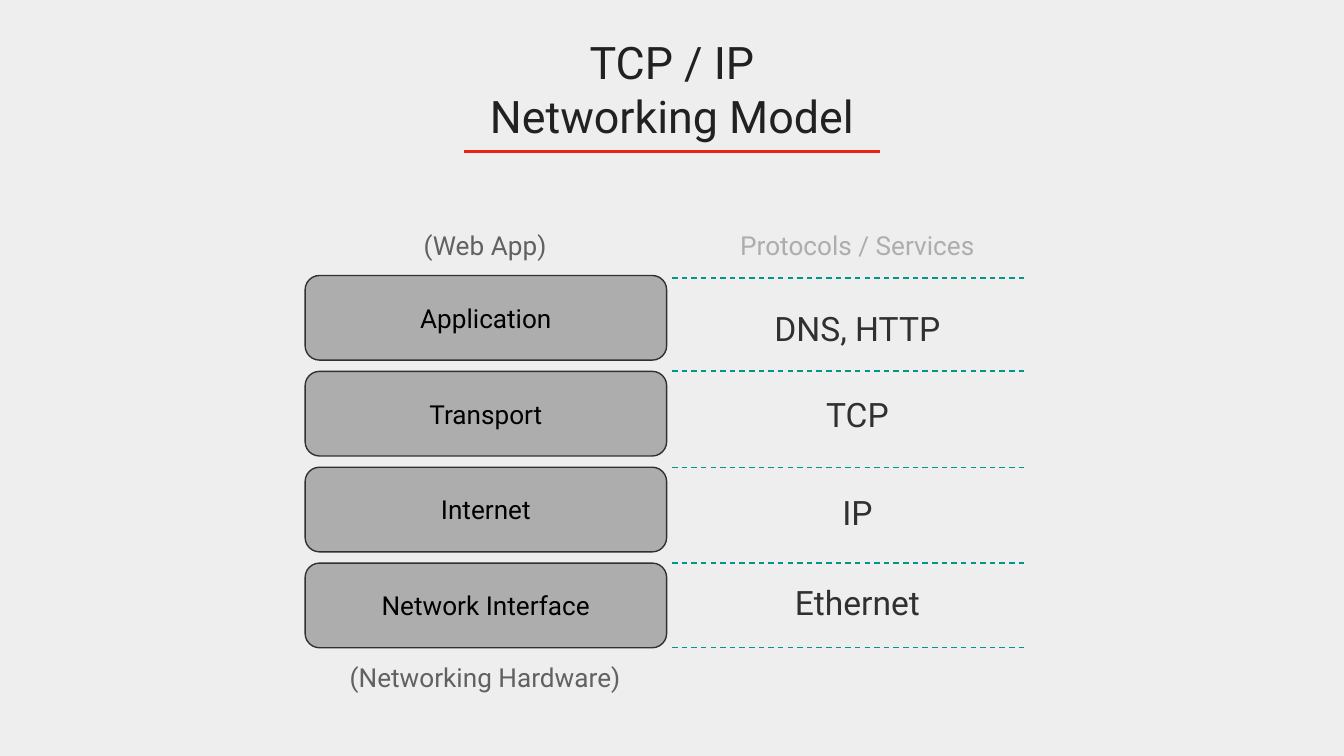
from dataclasses import dataclass

import pptx
import pptx.dml.color
import pptx.enum.dml
import pptx.enum.shapes
import pptx.enum.text
import pptx.oxml
import pptx.oxml.ns
import pptx.util
from pptx.util import Inches

FONT = "Roboto"
COLORS = {
    "background": "EEEEEE",
    "title": "212121",
    "underline": "EE2214",
    "layer": "ADADAD",
    "outline": "303030",
    "layer_text": "000000",
    "note": "616161",
    "heading": "ADADAD",
    "protocol": "303030",
    "divider": "009688",
}
SLIDE_WIDTH = 10
SLIDE_HEIGHT = SLIDE_WIDTH * 9 / 16
LAYER_LEFT, LAYER_TOP, LAST_LAYER_TOP = 2.27, 2.05, 4.19
LAYER_WIDTH, LAYER_HEIGHT = 2.69, 0.63
LABEL_WIDTH, LABEL_HEIGHT = 2.76, 0.39
NOTE_LEFT, PROTOCOL_LEFT, DIVIDER_RIGHT = 2.23, 5, 7.62
HEADING_TOP, HARDWARE_TOP = 1.61, 4.82


@dataclass(frozen=True)
class Layer:
    name: str
    protocol: str
    protocol_top: float


@dataclass(frozen=True)
class Label:
    text: str
    left: float
    top: float
    size: int
    color: str
    width: float = LABEL_WIDTH
    height: float = LABEL_HEIGHT


LAYERS = [
    Layer("Application", "DNS, HTTP", 2.19),
    Layer("Transport", "TCP", 2.83),
    Layer("Internet", "IP", 3.56),
    Layer("Network Interface", "Ethernet", 4.23),
]
LAYER_PITCH = (LAST_LAYER_TOP - LAYER_TOP) / (len(LAYERS) - 1)
LABELS = [
    Label("TCP / IP\nNetworking Model", 3.2, 0.16, 24, "title", 3.6, 0.63),
    Label("(Web App)", NOTE_LEFT, HEADING_TOP, 14, "note"),
    Label("(Networking Hardware)", NOTE_LEFT, HARDWARE_TOP, 14, "note"),
    Label("Protocols / Services", PROTOCOL_LEFT, HEADING_TOP, 14, "heading"),
]
DIVIDER_TOPS = [2.07, 2.76, 3.48, 4.19, 4.82]


def rgb(color: str) -> pptx.dml.color.RGBColor:
    return pptx.dml.color.RGBColor.from_string(COLORS[color])


def write_text(shape, text: str, size: int, color: str, anchor) -> None:
    frame = shape.text_frame
    frame.word_wrap = True
    frame.vertical_anchor = anchor
    frame.margin_left = frame.margin_right = Inches(0.1)
    frame.margin_top = frame.margin_bottom = Inches(0.1)
    frame.text = text
    for paragraph in frame.paragraphs:
        paragraph.alignment = pptx.enum.text.PP_ALIGN.CENTER
        paragraph.font.name = FONT
        paragraph.font.size = pptx.util.Pt(size)
        paragraph.font.color.rgb = rgb(color)


def add_label(slide, label: Label) -> None:
    shape = slide.shapes.add_textbox(
        Inches(label.left), Inches(label.top), Inches(label.width), Inches(label.height)
    )
    write_text(shape, label.text, label.size, label.color, pptx.enum.text.MSO_ANCHOR.TOP)


def add_layer(slide, name: str, top: float) -> None:
    shape = slide.shapes.add_shape(
        pptx.enum.shapes.MSO_SHAPE.ROUNDED_RECTANGLE,
        Inches(LAYER_LEFT), Inches(top), Inches(LAYER_WIDTH), Inches(LAYER_HEIGHT),
    )
    shape.shadow.inherit = False
    shape.adjustments[0] = 0.17
    shape.fill.solid()
    shape.fill.fore_color.rgb = rgb("layer")
    shape.line.color.rgb = rgb("outline")
    shape.line.width = pptx.util.Pt(0.75)
    write_text(shape, name, 14, "layer_text", pptx.enum.text.MSO_ANCHOR.MIDDLE)


def add_rule(
    slide, left: float, right: float, top: float, color: str, width: float, dashed: bool = False
) -> None:
    connector = slide.shapes.add_connector(
        pptx.enum.shapes.MSO_CONNECTOR.STRAIGHT,
        Inches(left), Inches(top), Inches(right), Inches(top),
    )
    connector.line.color.rgb = rgb(color)
    connector.line.width = pptx.util.Pt(width)
    if dashed:
        connector.line.dash_style = pptx.enum.dml.MSO_LINE.DASH
    properties = connector.element.find(pptx.oxml.ns.qn("p:spPr"))
    properties.append(
        pptx.oxml.parse_xml(f"<a:effectLst {pptx.oxml.ns.nsdecls('a')}/>")
    )


def main() -> None:
    presentation = pptx.Presentation()
    presentation.slide_width = Inches(SLIDE_WIDTH)
    presentation.slide_height = Inches(SLIDE_HEIGHT)
    slide = presentation.slides.add_slide(presentation.slide_layouts[6])
    slide.background.fill.solid()
    slide.background.fill.fore_color.rgb = rgb("background")

    for label in LABELS:
        add_label(slide, label)
    for index, layer in enumerate(LAYERS):
        add_layer(slide, layer.name, LAYER_TOP + index * LAYER_PITCH)
        add_label(
            slide, Label(layer.protocol, PROTOCOL_LEFT, layer.protocol_top, 18, "protocol")
        )
    for top in DIVIDER_TOPS:
        add_rule(slide, PROTOCOL_LEFT, DIVIDER_RIGHT, top, "divider", 0.75, dashed=True)
    add_rule(slide, 3.45, 6.55, 1.13, "underline", 1.5)

    presentation.save("out.pptx")


if __name__ == "__main__":
    main()
